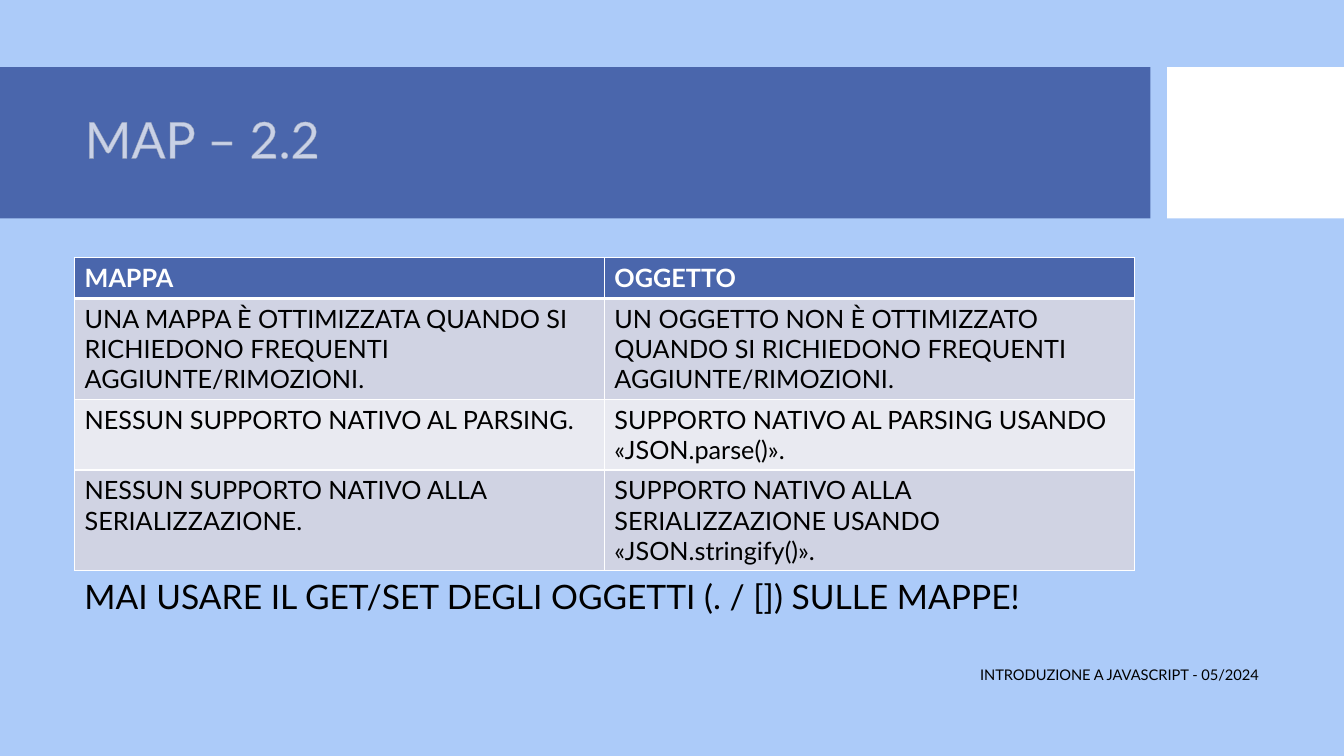
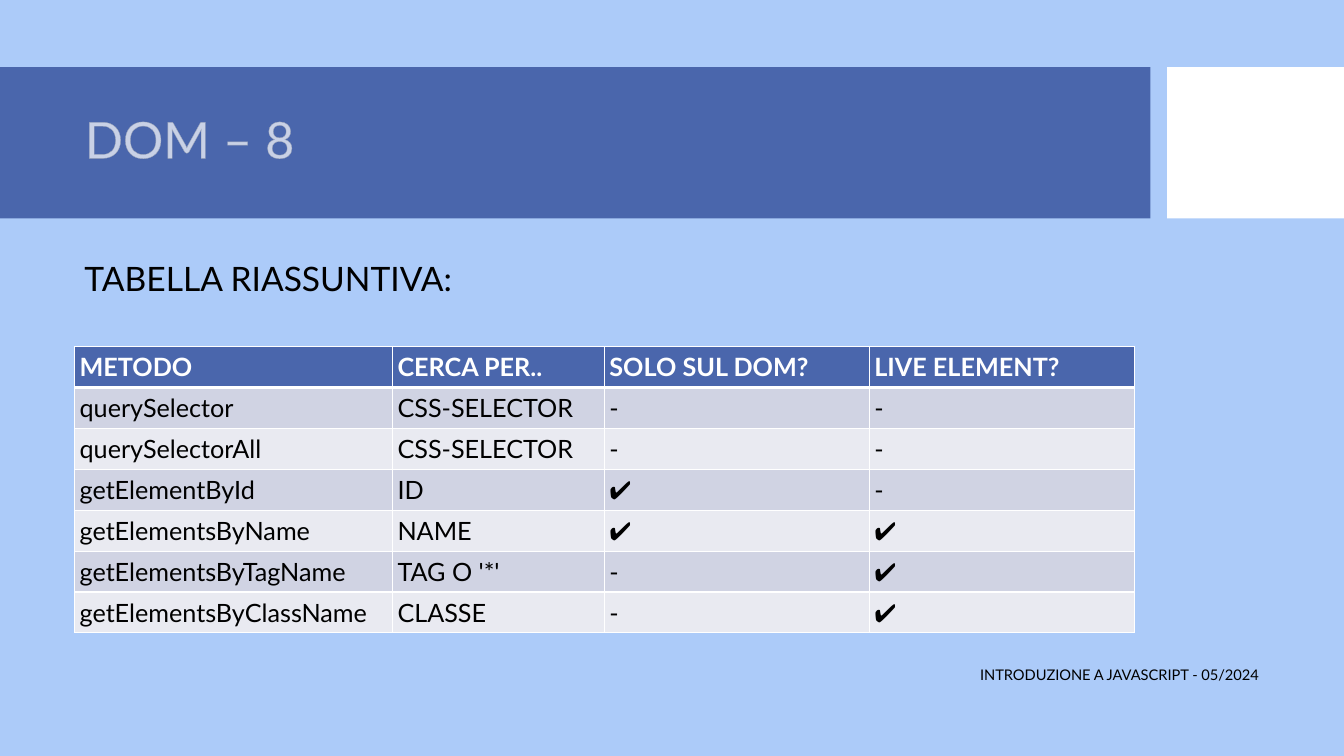
from lxml import etree
from pptx import Presentation
from pptx.dml.color import RGBColor
from pptx.enum.shapes import MSO_SHAPE
from pptx.enum.text import MSO_ANCHOR, PP_ALIGN
from pptx.oxml import parse_xml
from pptx.oxml.ns import nsdecls
from pptx.util import Pt

RECTANGLE = MSO_SHAPE.RECTANGLE
TOP, MIDDLE = MSO_ANCHOR.TOP, MSO_ANCHOR.MIDDLE
LEFT, RIGHT = PP_ALIGN.LEFT, PP_ALIGN.RIGHT

SKY = RGBColor(0xAC, 0xCB, 0xF9)
BLUE = RGBColor(0x4A, 0x66, 0xAC)
WHITE = RGBColor(0xFF, 0xFF, 0xFF)
BLACK = RGBColor(0, 0, 0)
OUTLINE_GREY = RGBColor(0xBF, 0xBF, 0xBF)
ROW_FILLS = [RGBColor(0xE9, 0xEA, 0xF1), RGBColor(0xD0, 0xD3, 0xE3)]

FONT = "Lato"
FOOTER = "INTRODUZIONE A JAVASCRIPT - 05/2024"
MARGIN = 53.3
CONTENT_WIDTH = 756.9
ROW_HEIGHT = 29.2


def write(frame, text, size=18, color=BLACK, bold=False, align=LEFT, anchor=TOP):
    frame.word_wrap = True
    frame.vertical_anchor = anchor
    paragraph = frame.paragraphs[0]
    paragraph.alignment = align
    run = paragraph.add_run()
    run.text = text
    run.font.name = FONT
    run.font.size = Pt(size)
    run.font.bold = bold
    run.font.color.rgb = color
    return paragraph


def line_element(tag, width, color, opacity=100):
    return parse_xml(
        f'<a:{tag} {nsdecls("a")} w="{Pt(width)}"><a:solidFill><a:srgbClr val="{color}">'
        f'<a:alpha val="{opacity * 1000}"/></a:srgbClr></a:solidFill>'
        f'<a:prstDash val="solid"/></a:{tag}>'
    )


SLIDES = [
    {
        "title": "MAP – 2.2",
        "note": "MAI USARE IL GET/SET DEGLI OGGETTI (. / []) SULLE MAPPE!",
        "note_top": 407.5,
        "table_top": 184,
        "column_shares": [0.5, 0.5],
        "row_heights": [ROW_HEIGHT, 72, 50, 72],
        "insets": [7.2, 3.6, 7.2, 3.6],
        "anchor": TOP,
        "rows": [
            ["MAPPA", "OGGETTO"],
            [
                "UNA MAPPA È OTTIMIZZATA QUANDO SI RICHIEDONO FREQUENTI AGGIUNTE/RIMOZIONI.",
                "UN OGGETTO NON È OTTIMIZZATO QUANDO SI RICHIEDONO FREQUENTI AGGIUNTE/RIMOZIONI.",
            ],
            [
                "NESSUN SUPPORTO NATIVO AL PARSING.",
                "SUPPORTO NATIVO AL PARSING USANDO «JSON.parse()».",
            ],
            [
                "NESSUN SUPPORTO NATIVO ALLA SERIALIZZAZIONE.",
                "SUPPORTO NATIVO ALLA SERIALIZZAZIONE USANDO «JSON.stringify()».",
            ],
        ],
    },
    {
        "title": "DOM – 8",
        "note": "TABELLA RIASSUNTIVA:",
        "note_top": 180.7,
        "table_top": 247.7,
        "column_shares": [0.3, 0.2, 0.25, 0.25],
        "row_heights": [ROW_HEIGHT] * 7,
        "insets": [3.6, 1.44, 7.2, 1.44],
        "anchor": MIDDLE,
        "rows": [
            ["METODO", "CERCA PER..", "SOLO SUL DOM?", "LIVE ELEMENT?"],
            ["querySelector", "CSS-SELECTOR", "-", "-"],
            ["querySelectorAll", "CSS-SELECTOR", "-", "-"],
            ["getElementById", "ID", "✔", "-"],
            ["getElementsByName", "NAME", "✔", "✔"],
            ["getElementsByTagName", "TAG O '*'", "-", "✔"],
            ["getElementsByClassName", "CLASSE", "-", "✔"],
        ],
    },
]

presentation = Presentation()
presentation.slide_width = Pt(960)
presentation.slide_height = Pt(540)
layout = presentation.slide_layouts.get_by_name("Title Only")

background = presentation.slide_master.background.fill
background.solid()
background.fore_color.rgb = SKY

layout_title = layout.placeholders[0]
layout_title.left, layout_title.top = Pt(MARGIN), Pt(59)
layout_title.width, layout_title.height = Pt(CONTENT_WIDTH), Pt(85)

slides = [presentation.slides.add_slide(layout) for content in SLIDES]

for left, width, color in [(0, 821.8, BLUE), (833.7, 126.3, WHITE)]:
    band = slides[0].shapes.add_shape(RECTANGLE, Pt(left), Pt(48), Pt(width), Pt(108))
    band.shadow.inherit = False
    band.fill.solid()
    band.fill.fore_color.rgb = color
    band.line.fill.background()
    layout_title.element.addprevious(band.element)

for slide, content in zip(slides, SLIDES):
    title = write(slide.shapes.title.text_frame, content["title"], size=36, color=WHITE, anchor=MIDDLE)
    title.line_spacing = 0.9
    title.runs[0].font._element.insert(0, line_element("ln", 0.25, OUTLINE_GREY, opacity=70))

    rows = content["rows"]
    shares = content["column_shares"]
    heights = content["row_heights"]
    table = slide.shapes.add_table(
        len(rows), len(shares), Pt(MARGIN), Pt(content["table_top"]), Pt(CONTENT_WIDTH), Pt(sum(heights))
    ).table
    for column, share in zip(table.columns, shares):
        column.width = Pt(CONTENT_WIDTH * share)
    for row_index, texts in enumerate(rows):
        header = row_index == 0
        table.rows[row_index].height = Pt(heights[row_index])
        borders = {"lnL": 1, "lnR": 1, "lnT": 3 if row_index == 1 else 1, "lnB": 3 if header else 1}
        for column_index, text in enumerate(texts):
            cell = table.cell(row_index, column_index)
            cell.margin_left, cell.margin_top, cell.margin_right, cell.margin_bottom = map(Pt, content["insets"])
            cell.vertical_anchor = content["anchor"]
            properties = cell._tc.get_or_add_tcPr()
            for tag, width in borders.items():
                properties.append(line_element(tag, width, WHITE))
            cell.fill.solid()
            cell.fill.fore_color.rgb = BLUE if header else ROW_FILLS[row_index % 2]
            write(cell.text_frame, text, color=WHITE if header else BLACK, bold=header, anchor=content["anchor"])

    footer = slide.shapes.add_textbox(Pt(MARGIN), Pt(467.3), Pt(853.2), Pt(28.8))
    write(footer.text_frame, FOOTER, size=10.5, align=RIGHT, anchor=MIDDLE)
    note = slide.shapes.add_textbox(Pt(MARGIN), Pt(content["note_top"]), Pt(CONTENT_WIDTH), Pt(36))
    write(note.text_frame, content["note"], size=24)

presentation.save("out.pptx")
